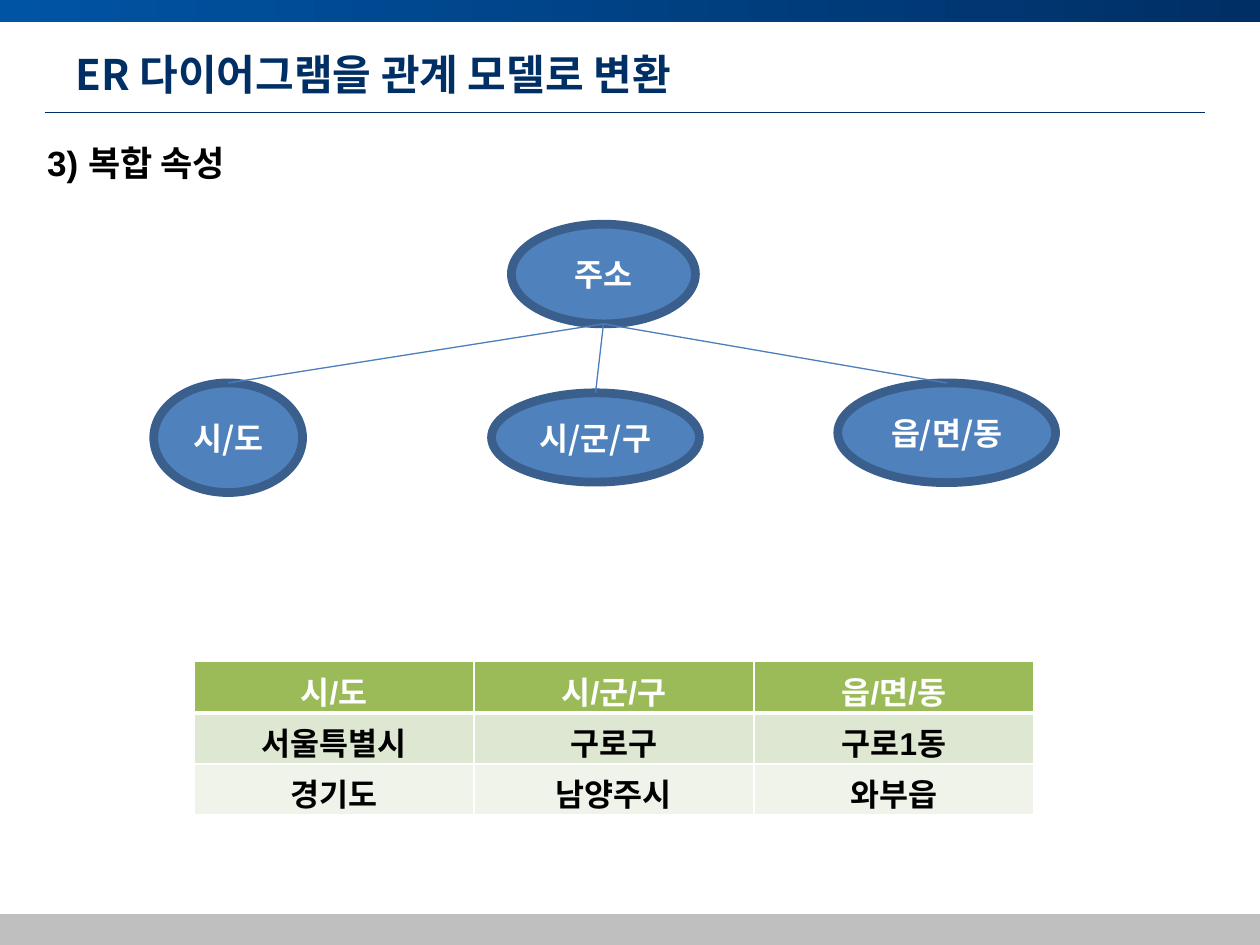
from dataclasses import dataclass

from lxml import etree
from pptx import Presentation
from pptx.dml.color import RGBColor
from pptx.enum.shapes import MSO_CONNECTOR, MSO_SHAPE
from pptx.enum.text import MSO_ANCHOR, MSO_AUTO_SIZE, PP_ALIGN
from pptx.oxml.ns import qn
from pptx.util import Cm, Pt

RECT, OVAL = MSO_SHAPE.RECTANGLE, MSO_SHAPE.OVAL
STRAIGHT = MSO_CONNECTOR.STRAIGHT
LEFT, CENTER = PP_ALIGN.LEFT, PP_ALIGN.CENTER
TOP, MIDDLE = MSO_ANCHOR.TOP, MSO_ANCHOR.MIDDLE
TITLE_ONLY = 5
OVAL_TOP = 0


@dataclass(frozen=True)
class Theme:
    navy: str = "002F65"
    blue: str = "0054A4"
    gray: str = "BFBFBF"
    black: str = "000000"
    white: str = "FFFFFF"
    oval: str = "4F81BD"
    oval_line: str = "3A5F8C"
    link: str = "4B7EBC"
    header: str = "9BBB59"
    bands: tuple = ("DEE7D1", "EFF3EA")
    korean: str = "Noto Sans CJK KR"
    latin: str = "Arial"
    title_size: int = 24
    heading_size: int = 20
    body_size: int = 18


T = Theme()


def rgb(value):
    return RGBColor.from_string(value)


def write(tf, text, size=T.body_size, color=T.black, font=T.korean,
          align=LEFT, anchor=TOP, wrap=True):
    """Put one bold paragraph into a text frame."""
    tf.word_wrap = wrap
    tf.vertical_anchor = anchor
    p = tf.paragraphs[0]
    p.alignment = align
    r = p.add_run()
    r.text = text
    r.font.size = Pt(size)
    r.font.bold = True
    r.font.name = font
    r.font.color.rgb = rgb(color)
    ea = etree.SubElement(r.font._element, qn("a:ea"))
    ea.set("typeface", T.korean)


def add_box(s, kind, left, top, width, height, fill=None):
    sp = s.shapes.add_shape(kind, Cm(left), Cm(top), Cm(width), Cm(height))
    sp.shadow.inherit = False
    sp.line.fill.background()
    if fill:
        sp.fill.solid()
        sp.fill.fore_color.rgb = rgb(fill)
    return sp


def add_line(s, x1, y1, x2, y2, color, width):
    line = s.shapes.add_connector(STRAIGHT, x1, y1, x2, y2)
    line.line.color.rgb = rgb(color)
    line.line.width = Pt(width)
    etree.SubElement(line._element.spPr, qn("a:effectLst"))
    return line


def add_frame(s, width, height):
    """Top gradient bar, rule under the title and bottom bar."""
    bar = add_box(s, RECT, 0, 0, width, 0.44)
    bar.fill.gradient()
    bar.fill.gradient_angle = 0
    for stop, color in zip(bar.fill.gradient_stops, (T.blue, T.navy)):
        stop.color.rgb = rgb(color)
    add_line(s, Cm(0.9), Cm(2.26), Cm(24.3), Cm(2.26), T.navy, 0.5)
    add_box(s, RECT, 0, height - 0.62, width, 0.62, T.gray)


def add_titles(s, title, heading):
    sp = s.shapes.title
    sp.left, sp.top, sp.width, sp.height = Cm(1.27), Cm(0.76), Cm(22.86), Cm(1.47)
    sp.text_frame.auto_size = MSO_AUTO_SIZE.NONE
    write(sp.text_frame, title, size=T.title_size, color=T.navy, anchor=MIDDLE)
    tb = s.shapes.add_textbox(Cm(0.7), Cm(2.72), Cm(5.6), Cm(1.11))
    write(tb.text_frame, heading, size=T.heading_size, font=T.latin, wrap=False)


def add_attribute(s, left, top, width, height, text):
    sp = add_box(s, OVAL, left, top, width, height, T.oval)
    sp.line.color.rgb = rgb(T.oval_line)
    sp.line.width = Pt(5)
    write(sp.text_frame, text, color=T.white, align=CENTER, anchor=MIDDLE)
    return sp


def add_attribute_tree(s, left, top):
    """Composite attribute above the parts it splits into."""
    root = add_attribute(s, left + 7.21, top, 3.71, 2.01, "주소")
    parts = (
        (0, 3.2, 3, 2.21, "시/도"),
        (6.81, 3.4, 4.19, 1.8, "시/군/구"),
        (13.79, 3.2, 4.39, 2.01, "읍/면/동"),
    )
    children = [add_attribute(s, left + x, top + y, w, h, text)
                for x, y, w, h, text in parts]
    x, y = root.left + root.width // 2, root.top + root.height
    for child in children:
        line = add_line(s, x, y, child.left + child.width // 2, child.top,
                        T.link, 0.75)
        line.end_connect(child, OVAL_TOP)


def set_border(cell, side, width):
    ln = etree.SubElement(cell._tc.get_or_add_tcPr(), qn(f"a:ln{side}"),
                          w=str(Pt(width)))
    fill = etree.SubElement(ln, qn("a:solidFill"))
    etree.SubElement(fill, qn("a:srgbClr"), val=T.white)


def add_address_table(s, left, top, width, height):
    rows = (
        ("시/도", "시/군/구", "읍/면/동"),
        ("서울특별시", "구로구", "구로1동"),
        ("경기도", "남양주시", "와부읍"),
    )
    fills = (T.header, *T.bands)
    table = s.shapes.add_table(len(rows), len(rows[0]), Cm(left), Cm(top),
                               Cm(width), Cm(height)).table
    for i, row in enumerate(rows):
        for j, text in enumerate(row):
            cell = table.cell(i, j)
            # A thick rule parts the header from the body
            widths = {"L": 1, "R": 1, "T": 3 if i == 1 else 1,
                      "B": 3 if i == 0 else 1}
            for side, border in widths.items():
                set_border(cell, side, border)
            cell.fill.solid()
            cell.fill.fore_color.rgb = rgb(fills[i])
            write(cell.text_frame, text, font=T.latin, align=CENTER,
                  color=T.white if i == 0 else T.black)


def main():
    width, height = 25.4, 19.05
    prs = Presentation()
    prs.slide_width, prs.slide_height = Cm(width), Cm(height)
    s = prs.slides.add_slide(prs.slide_layouts[TITLE_ONLY])
    add_frame(s, width, height)
    add_titles(s, "ER 다이어그램을 관계 모델로 변환", "3) 복합 속성")
    add_attribute_tree(s, 3.1, 4.52)
    add_address_table(s, 3.91, 13.34, 16.93, 3.09)
    prs.save("out.pptx")


if __name__ == "__main__":
    main()
